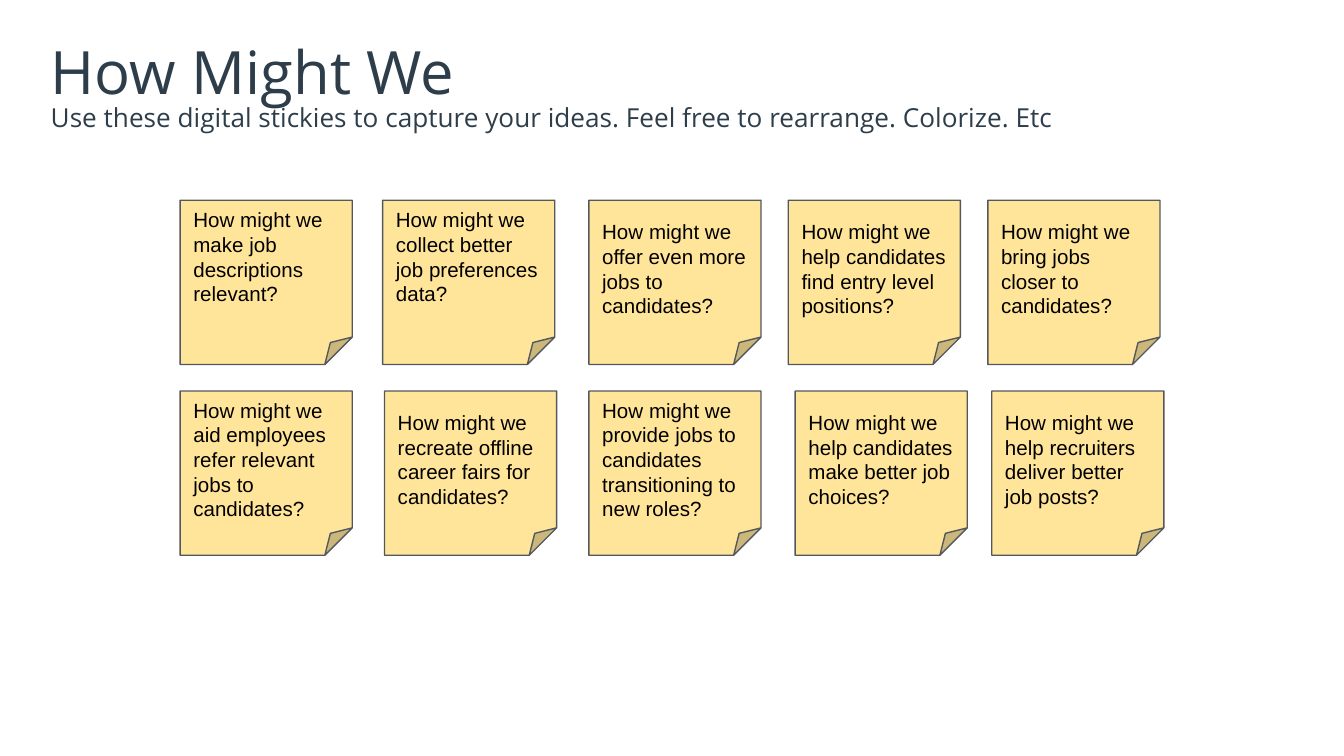
from dataclasses import dataclass

from pptx import Presentation
from pptx.dml.color import RGBColor
from pptx.enum.shapes import MSO_SHAPE
from pptx.enum.text import MSO_ANCHOR, PP_ALIGN
from pptx.util import Pt


@dataclass(frozen=True)
class Theme:
    heading_color: RGBColor = RGBColor(0x2D, 0x3D, 0x4A)
    note_fill: RGBColor = RGBColor(0xFF, 0xE5, 0x99)
    note_line: RGBColor = RGBColor(0x53, 0x58, 0x5F)
    note_text: RGBColor = RGBColor(0, 0, 0)
    heading_font: str = "Open Sans"
    note_font: str = "Arial"
    title_size: float = 32
    subtitle_size: float = 14
    note_size: float = 11


THEME = Theme()
NOTE_WIDTH, NOTE_HEIGHT = 92.2, 88
NOTE_INSET = 7.2
RAISED = 13  # extra bottom inset of a note whose text sits higher

# Each row: top, then (left, extra bottom inset, question ending)
NOTE_ROWS = [
    (107.3, [
        (96.5, RAISED, "make job descriptions relevant?"),
        (205, RAISED, "collect better job preferences data?"),
        (315.5, 0, "offer even more jobs to candidates?"),
        (422.3, 0, "help candidates find entry level positions?"),
        (529.2, 0, "bring jobs closer to candidates?"),
    ]),
    (209.5, [
        (96.5, 0, "aid employees refer relevant jobs to candidates?"),
        (206, 0, "recreate offline career fairs for candidates?"),
        (315.5, 0, "provide jobs to candidates transitioning to new roles?"),
        (426, 0, "help candidates make better job choices?"),
        (531.3, 0, "help recruiters deliver better job posts?"),
    ]),
]


def set_insets(frame, left, top, right, bottom):
    frame.margin_left, frame.margin_top = Pt(left), Pt(top)
    frame.margin_right, frame.margin_bottom = Pt(right), Pt(bottom)


def add_run(paragraph, text, font, size, color):
    run = paragraph.add_run()
    run.text = text
    run.font.name, run.font.size = font, Pt(size)
    run.font.color.rgb = color


def add_heading(slide, left, top, width, height, text, size):
    frame = slide.shapes.add_textbox(Pt(left), Pt(top), Pt(width), Pt(height)).text_frame
    frame.word_wrap = True
    set_insets(frame, 2.7, 1.3, 2.7, 2.7)
    add_run(frame.paragraphs[0], text, THEME.heading_font, size, THEME.heading_color)


def add_note(slide, left, top, width, height, question, raise_by):
    note = slide.shapes.add_shape(
        MSO_SHAPE.FOLDED_CORNER, Pt(left), Pt(top), Pt(width), Pt(height))
    note.shadow.inherit = False
    note.fill.solid()
    note.fill.fore_color.rgb = THEME.note_fill
    note.line.color.rgb = THEME.note_line
    note.line.width = Pt(0.75)

    frame = note.text_frame
    frame.word_wrap = True
    frame.vertical_anchor = MSO_ANCHOR.MIDDLE
    set_insets(frame, NOTE_INSET, NOTE_INSET, NOTE_INSET, NOTE_INSET + raise_by)
    paragraph = frame.paragraphs[0]
    paragraph.alignment = PP_ALIGN.LEFT
    add_run(paragraph, question, THEME.note_font, THEME.note_size, THEME.note_text)


def add_note_board(slide):
    for top, notes in NOTE_ROWS:
        for left, raise_by, ending in notes:
            add_note(slide, left, top, NOTE_WIDTH, NOTE_HEIGHT,
                     f"How might we {ending}", raise_by)


def main():
    deck = Presentation()
    deck.slide_width, deck.slide_height = Pt(720), Pt(405)
    slide = deck.slides.add_slide(deck.slide_layouts[6])
    add_heading(slide, 24.5, 17.3, 671, 45.4, "How Might We", THEME.title_size)
    add_heading(slide, 24.5, 53.3, 671, 45.4,
                "Use these digital stickies to capture your ideas. "
                "Feel free to rearrange. Colorize. Etc", THEME.subtitle_size)
    add_note_board(slide)
    deck.save("out.pptx")


if __name__ == "__main__":
    main()
